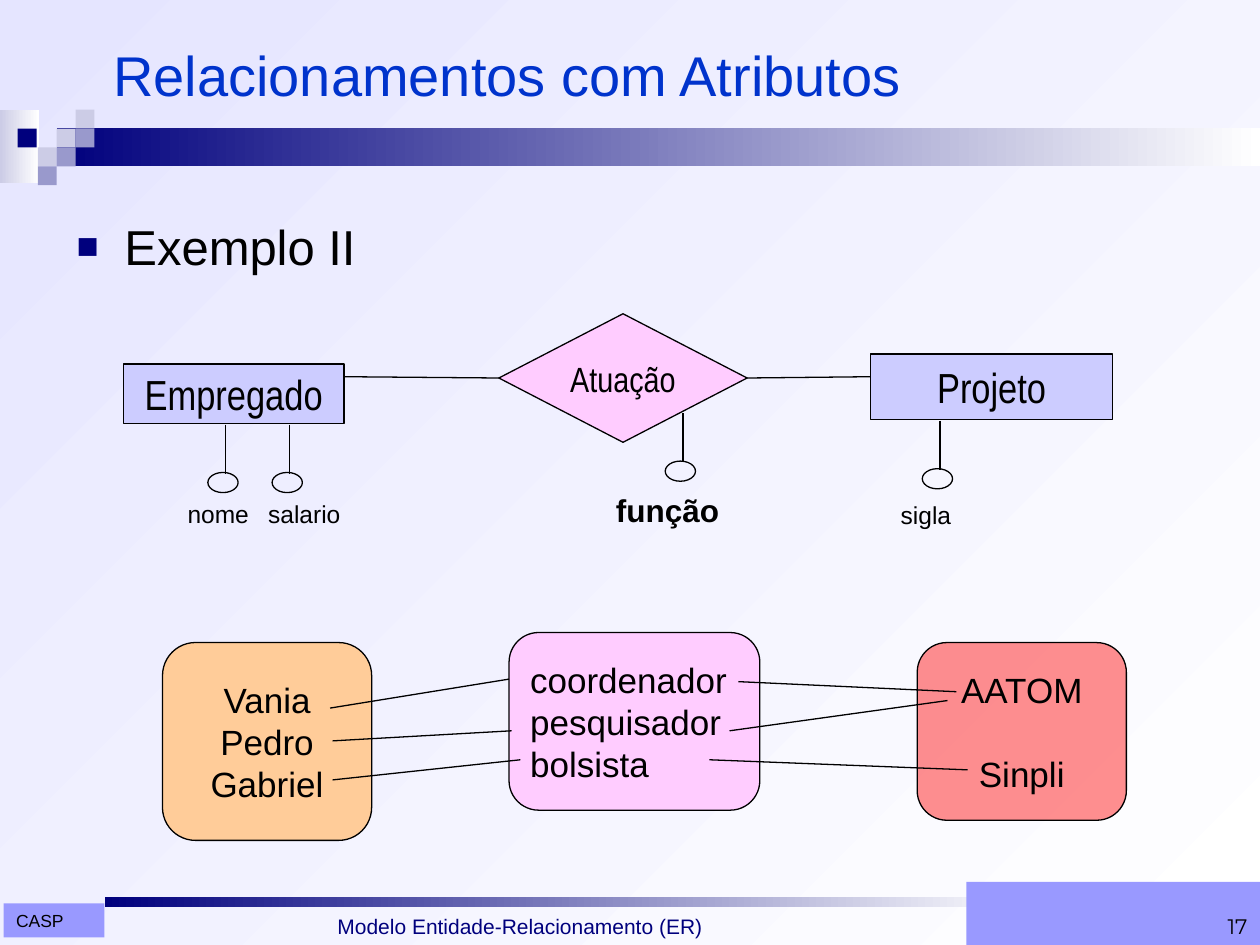
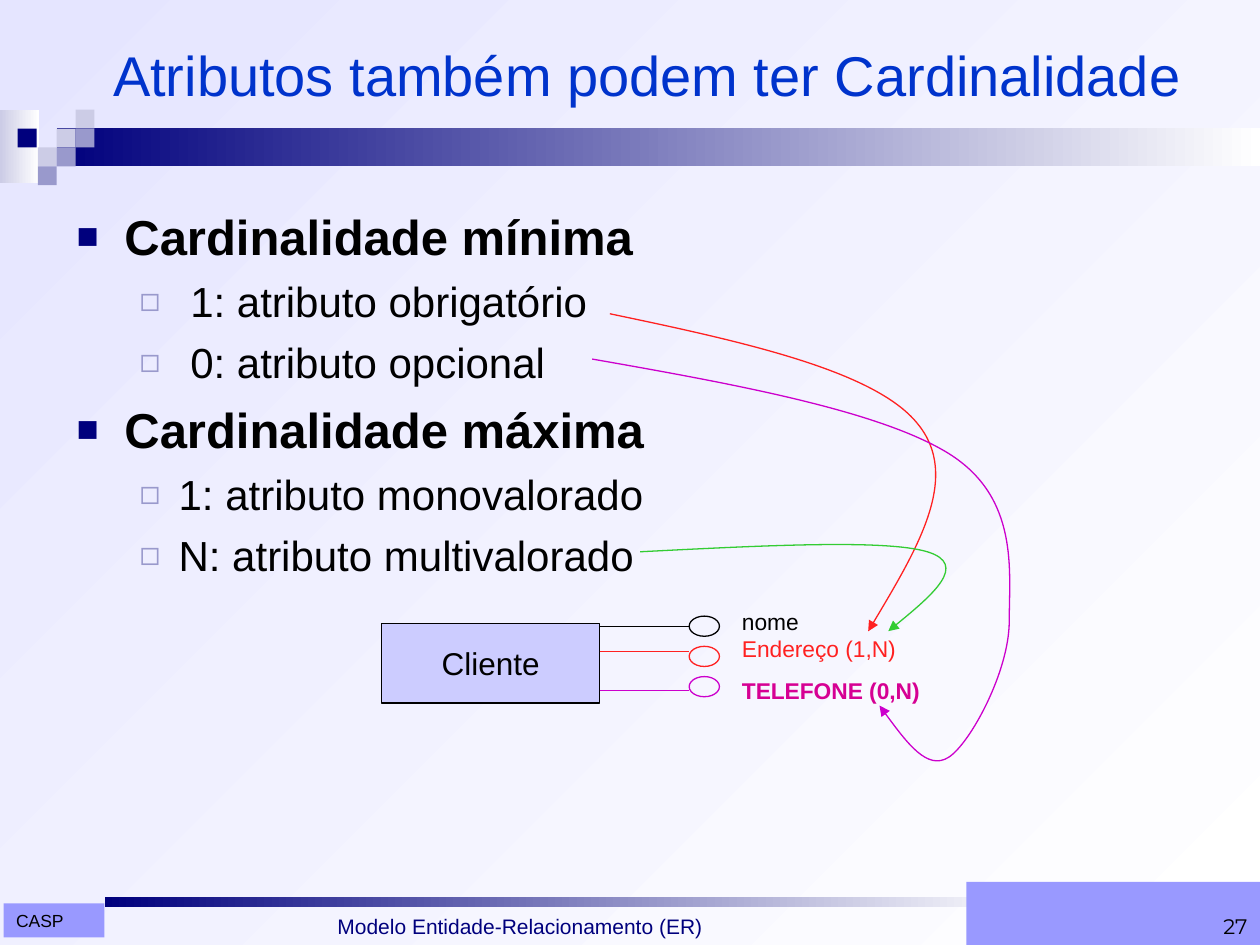
from dataclasses import dataclass

import pptx
import pptx.util
import pptx.dml.color
import pptx.enum.shapes
import pptx.enum.text
import pptx.oxml.ns
import pptx.shapes.base
import pptx.slide
import lxml.etree

Inches = pptx.util.Inches
Pt = pptx.util.Pt
RGBColor = pptx.dml.color.RGBColor
Kind = pptx.enum.shapes.MSO_SHAPE
Align = pptx.enum.text.PP_ALIGN
Anchor = pptx.enum.text.MSO_ANCHOR
Slide = pptx.slide.Slide
Shape = pptx.shapes.base.BaseShape
qn = pptx.oxml.ns.qn

BLACK = RGBColor(0x00, 0x00, 0x00)
WHITE = RGBColor(0xFF, 0xFF, 0xFF)
NAVY = RGBColor(0x00, 0x00, 0x7D)
BLUE = RGBColor(0x00, 0x33, 0xCC)
PALE = RGBColor(0xE5, 0xE5, 0xFF)
MIST = RGBColor(0xCC, 0xCC, 0xE6)
SLATE = RGBColor(0x99, 0x99, 0xCC)
LILAC = RGBColor(0x99, 0x99, 0xFF)
SKY = RGBColor(0xCC, 0xCC, 0xFF)
PINK = RGBColor(0xFF, 0xCC, 0xFF)
PEACH = RGBColor(0xFF, 0xCC, 0x99)
RED = RGBColor(0xFF, 0x21, 0x21)
PURPLE = RGBColor(0xCC, 0x00, 0xCC)
ROSE = RGBColor(0xD6, 0x00, 0x93)
GREEN = RGBColor(0x33, 0xCC, 0x33)

Box = tuple[float, float, float, float]
Point = tuple[float, float]
RING = (0.24, 0.16)


@dataclass(frozen=True)
class Font:
    size: float
    color: RGBColor = BLACK
    bold: bool = False
    name: str = "Arial"


@dataclass(frozen=True)
class Level:
    mark: str
    color: RGBColor
    scale: int
    left: float
    hang: float
    gap: float
    font: Font


@dataclass(frozen=True)
class Node:
    at: Box
    kind: Kind
    fill: RGBColor
    lines: tuple[str, ...]
    font: Font
    align: Align = Align.CENTER
    gap: float = 0
    alpha: int = 100


@dataclass(frozen=True)
class Pin:
    """An attribute hanging below its entity."""
    left: float
    top: float
    text: str
    label: Point
    font: Font


@dataclass(frozen=True)
class Field:
    """An attribute to the right of its entity."""
    text: str
    line: float
    label: float
    color: RGBColor
    font: Font


HEAD = Level("■", NAVY, 75, 0.38, 0.38, 7, Font(28))
BOLD = Level("■", NAVY, 75, 0.38, 0.38, 7, Font(28, bold=True))
SUB = Level("◻", SLATE, 80, 0.81, 0.31, 6, Font(24))

STEP = 0.15
TILES = [(0.45, 1.02, MIST), (0.6, 0.87, MIST), (0.6, 1.02, SLATE),
         (0.3, 1.17, MIST), (0.14, 1.02, NAVY), (0.45, 1.17, SLATE),
         (0.3, 1.32, SLATE)]

NARROW = Font(24, name="Arial Narrow")
STAFF = Node((0.98, 2.89, 1.75, 0.47), Kind.RECTANGLE, SKY, ("Empregado",), NARROW)
PROJECT = Node((6.91, 2.81, 1.92, 0.52), Kind.RECTANGLE, SKY, ("Projeto",), NARROW)
ROLE = Node((3.96, 2.49, 1.97, 1.02), Kind.FLOWCHART_DECISION, PINK, ("Atuação",),
            Font(20, name="Arial Narrow"))
SETS = [
    Node((1.29, 5.1, 1.66, 1.57), Kind.ROUNDED_RECTANGLE, PEACH,
         ("Vania", "Pedro", "Gabriel"), Font(20)),
    Node((7.28, 5.1, 1.66, 1.41), Kind.ROUNDED_RECTANGLE, RED,
         ("AATOM", "Sinpli"), Font(20), gap=24, alpha=50),
    Node((4.04, 5.02, 1.99, 1.41), Kind.ROUNDED_RECTANGLE, PINK,
         ("coordenador", "pesquisador", "bolsista"), Font(20), Align.LEFT),
]
PINS = [
    Pin(1.65, 3.37, "nome", (1.39, 3.91), Font(14)),
    Pin(2.16, 3.37, "salario", (2.03, 3.91), Font(14)),
    Pin(5.28, 3.28, "função", (4.79, 3.85), Font(18, bold=True)),
    Pin(7.32, 3.34, "sigla", (7.05, 3.92), Font(14)),
]
LINKS = [((2.62, 5.62), (4.04, 5.39)), ((7.59, 5.49), (5.86, 5.41)),
         ((2.64, 5.88), (4.06, 5.8)), ((7.52, 5.56), (5.79, 5.8)),
         ((2.64, 6.19), (4.13, 6.03)), ((5.63, 6.03), (7.68, 6.11))]

CLIENT = Node((3.03, 4.95, 1.73, 0.63), Kind.RECTANGLE, SKY, ("Cliente",), Font(18))
FIELDS = [
    Field("nome", 4.97, 4.77, BLACK, Font(13)),
    Field("Endereço (1,N)", 5.17, 4.99, RED, Font(13, RED)),
    Field("TELEFONE (0,N)", 5.48, 5.32, PURPLE, Font(13, ROSE, True)),
]
CURVES = [
    (RED, [(4.84, 2.49), (5.89, 2.71), (6.94, 2.94), (7.28, 3.36),
           (7.63, 3.78), (7.26, 4.39), (6.89, 5.01)]),
    (PURPLE, [(4.7, 2.85), (5.84, 3.05), (6.98, 3.26), (7.53, 3.6),
              (8.09, 3.95), (8.01, 4.53), (8.01, 4.93), (8.01, 5.33),
              (7.7, 5.9), (7.53, 6.01), (7.36, 6.12), (7.17, 5.86), (6.98, 5.6)]),
    (GREEN, [(5.08, 4.38), (6.06, 4.33), (7.03, 4.28), (7.36, 4.38),
             (7.69, 4.48), (7.37, 4.75), (7.05, 5.01)]),
]


def add_tag(parent: lxml.etree._Element, tag: str, **attrs: str) -> lxml.etree._Element:
    node = lxml.etree.SubElement(parent, qn(tag))
    for key, value in attrs.items():
        node.set(key, value)
    return node


def blend(fill: pptx.dml.fill.FillFormat, first: RGBColor, angle: float = 0) -> None:
    """Fade from a colour to white."""
    fill.gradient()
    fill.gradient_angle = angle
    for stop, color in zip(fill.gradient_stops, (first, WHITE)):
        stop.color.rgb = color


def add_run(para: pptx.text.text._Paragraph, text: str, font: Font) -> None:
    run = para.add_run()
    run.text = text
    run.font.name = font.name
    run.font.size = Pt(font.size)
    run.font.bold = font.bold
    run.font.color.rgb = font.color


def write(shape: Shape, lines: tuple[str, ...], font: Font, align: Align = Align.LEFT,
          anchor: Anchor = Anchor.TOP, gap: float = 0) -> None:
    frame = shape.text_frame
    frame.word_wrap = align != Align.CENTER
    frame.vertical_anchor = anchor
    for index, text in enumerate(lines):
        para = frame.add_paragraph() if index else frame.paragraphs[0]
        para.alignment = align
        if index and gap:
            para.space_before = Pt(gap)
        add_run(para, text, font)


def add_form(slide: Slide, kind: Kind, at: Box, fill: RGBColor | None = None,
             line: RGBColor | None = None) -> Shape:
    shape = slide.shapes.add_shape(kind, *map(Inches, at))
    shape.shadow.inherit = False
    if fill is None:
        shape.fill.background()
    else:
        shape.fill.solid()
        shape.fill.fore_color.rgb = fill
    if line is None:
        shape.line.fill.background()
    else:
        shape.line.color.rgb = line
        shape.line.width = Pt(0.75)
    return shape


def add_label(slide: Slide, at: Box, text: str, font: Font,
              anchor: Anchor = Anchor.TOP) -> None:
    write(slide.shapes.add_textbox(*map(Inches, at)), (text,), font, anchor=anchor)


def add_node(slide: Slide, node: Node) -> Shape:
    shape = add_form(slide, node.kind, node.at, node.fill, BLACK)
    if node.alpha < 100:
        color = shape.fill._xPr.find(qn("a:solidFill"))[0]
        add_tag(color, "a:alpha", val=str(node.alpha * 1000))
    write(shape, node.lines, node.font, node.align, Anchor.MIDDLE, node.gap)
    return shape


def add_line(slide: Slide, start: Point, end: Point,
             color: RGBColor = BLACK) -> pptx.shapes.connector.Connector:
    line = slide.shapes.add_connector(pptx.enum.shapes.MSO_CONNECTOR.STRAIGHT,
                                      *map(Inches, start + end))
    line.line.color.rgb = color
    line.line.width = Pt(0.75)
    add_tag(line._element.spPr, "a:effectLst")
    return line


def add_curve(slide: Slide, color: RGBColor, points: list[Point]) -> None:
    """Draw a Bézier arrow: a start, then two handles and an end per arc."""
    start, *rest = [(Inches(x), Inches(y)) for x, y in points]
    build = slide.shapes.build_freeform(*start)
    build.add_line_segments(rest, close=False)
    shape = build.convert_to_shape()
    shape.shadow.inherit = False
    shape.fill.background()
    shape.line.color.rgb = color
    shape.line.width = Pt(0.75)
    add_tag(shape.line._get_or_add_ln(), "a:tailEnd", type="triangle")
    trace = shape._element.find(".//" + qn("a:path"))
    steps = trace.findall(qn("a:lnTo"))
    for index in range(0, len(steps), 3):
        arc = add_tag(trace, "a:cubicBezTo")
        for step in steps[index:index + 3]:
            arc.append(step[0])
            trace.remove(step)


def add_body(slide: Slide, top: float, items: list[tuple[str, Level]]) -> None:
    box = slide.shapes.add_textbox(*map(Inches, (0.51, top, 9, 5.04)))
    frame = box.text_frame
    frame.word_wrap = True
    frame.margin_top = Inches(0.1)
    for index, (text, level) in enumerate(items):
        para = frame.add_paragraph() if index else frame.paragraphs[0]
        if index:
            para.space_before = Pt(level.gap)
        props = para._p.get_or_add_pPr()
        props.set("marL", str(Inches(level.left)))
        props.set("indent", str(-Inches(level.hang)))
        tint = add_tag(props, "a:buClr")
        add_tag(tint, "a:srgbClr", val=str(level.color))
        add_tag(props, "a:buSzPct", val=str(level.scale * 1000))
        add_tag(props, "a:buFont", typeface="Arial")
        add_tag(props, "a:buChar", char=level.mark)
        add_run(para, text, level.font)


def add_slide(deck: pptx.presentation.Presentation, title: str, number: str) -> Slide:
    """Add a slide with its bands, title and footer."""
    slide = deck.slides.add_slide(deck.slide_layouts[6])
    blend(slide.background.fill, PALE, 315)
    for at, color in [((0, 0.87, 0.31, 0.58), MIST), ((0.45, 1.02, 9.55, 0.3), NAVY),
                      ((0.83, 7.12, 7.38, 0.08), NAVY)]:
        blend(add_form(slide, Kind.RECTANGLE, at, color).fill, color)
    for left, top, color in TILES:
        add_form(slide, Kind.RECTANGLE, (left, top, STEP, STEP), color)
    mark = add_form(slide, Kind.RECTANGLE, (0.03, 7.17, 0.8, 0.27), LILAC)
    write(mark, ("CASP",), Font(10))
    add_label(slide, (2.58, 6.98, 4.62, 0.52), "Modelo Entidade-Relacionamento (ER)",
              Font(12, NAVY), Anchor.BOTTOM)
    page = add_form(slide, Kind.RECTANGLE, (7.67, 7, 2.33, 0.5), LILAC)
    write(page, (number,), Font(12, name="Montserrat"), Align.RIGHT, Anchor.BOTTOM)
    add_label(slide, (0.8, 0.13, 9, 0.91), title, Font(32, BLUE), Anchor.MIDDLE)
    return slide


def draw_roles(deck: pptx.presentation.Presentation) -> None:
    slide = add_slide(deck, "Relacionamentos com Atributos", "17")
    add_body(slide, 1.62, [("Exemplo II", HEAD)])
    add_node(slide, STAFF)
    add_node(slide, PROJECT)
    role = add_node(slide, ROLE)
    add_line(slide, (2.74, 2.99), (3.96, 3)).end_connect(role, 1)
    add_line(slide, (5.93, 3), (6.91, 2.99)).begin_connect(role, 3)
    for pin in PINS:
        stem = pin.left + 0.14
        add_line(slide, (stem, pin.top), (stem, pin.top + 0.39))
        add_form(slide, Kind.OVAL, (pin.left, pin.top + 0.38, *RING), line=BLACK)
        add_label(slide, (*pin.label, 1.2, 0.34), pin.text, pin.font)
    for node in SETS:
        add_node(slide, node)
    for start, end in LINKS:
        add_line(slide, start, end)


def draw_limits(deck: pptx.presentation.Presentation) -> None:
    slide = add_slide(deck, "Atributos também podem ter Cardinalidade", "27")
    add_body(slide, 1.54, [
        ("Cardinalidade mínima", BOLD),
        (" 1: atributo obrigatório", SUB), (" 0: atributo opcional", SUB),
        ("Cardinalidade máxima", BOLD),
        ("1: atributo monovalorado", SUB), ("N: atributo multivalorado", SUB)])
    add_node(slide, CLIENT)
    for index, field in enumerate(FIELDS):
        add_line(slide, (4.76, field.line), (5.47, field.line), field.color)
        add_form(slide, Kind.OVAL, (5.47, 4.89 + 0.24 * index, *RING), line=field.color)
        add_label(slide, (5.79, field.label, 1.8, 0.32), field.text, field.font)
    for color, points in CURVES:
        add_curve(slide, color, points)


def main() -> None:
    deck = pptx.Presentation()
    deck.slide_width, deck.slide_height = Inches(10), Inches(7.5)
    draw_roles(deck)
    draw_limits(deck)
    deck.save("out.pptx")


if __name__ == "__main__":
    main()
